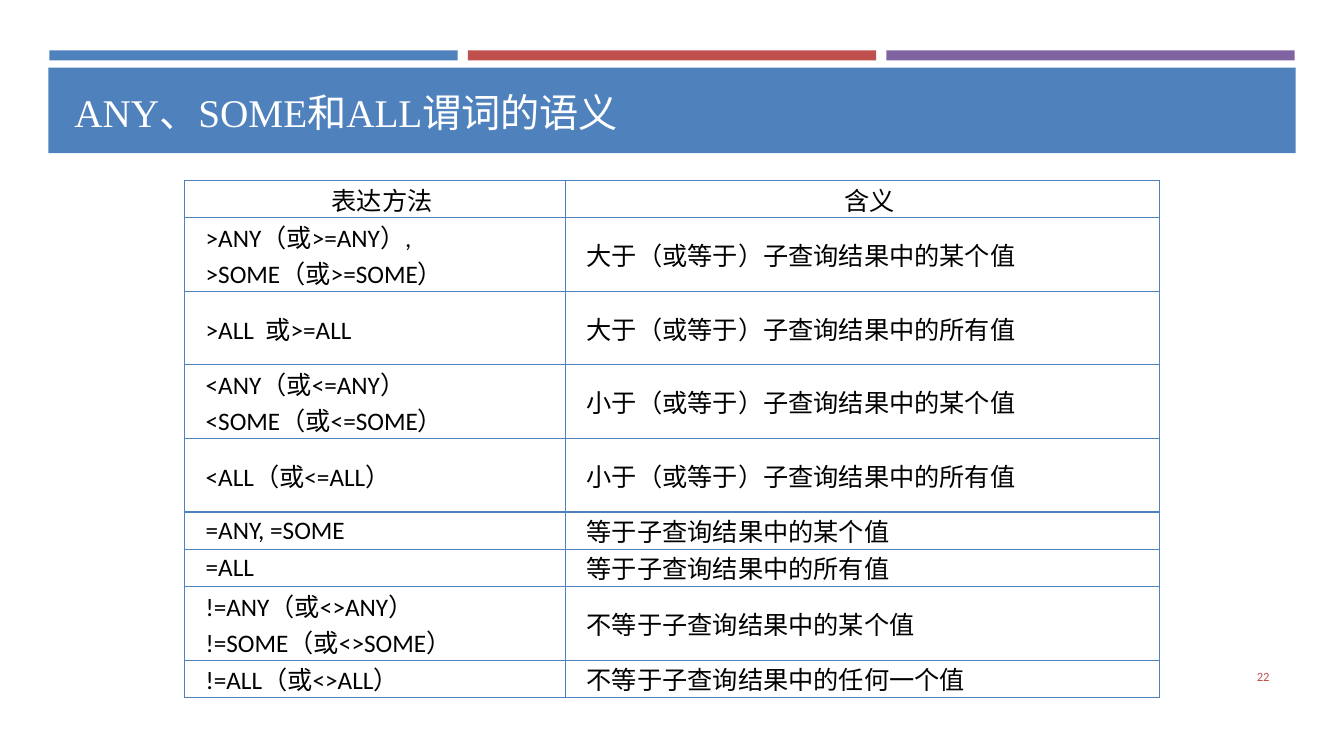
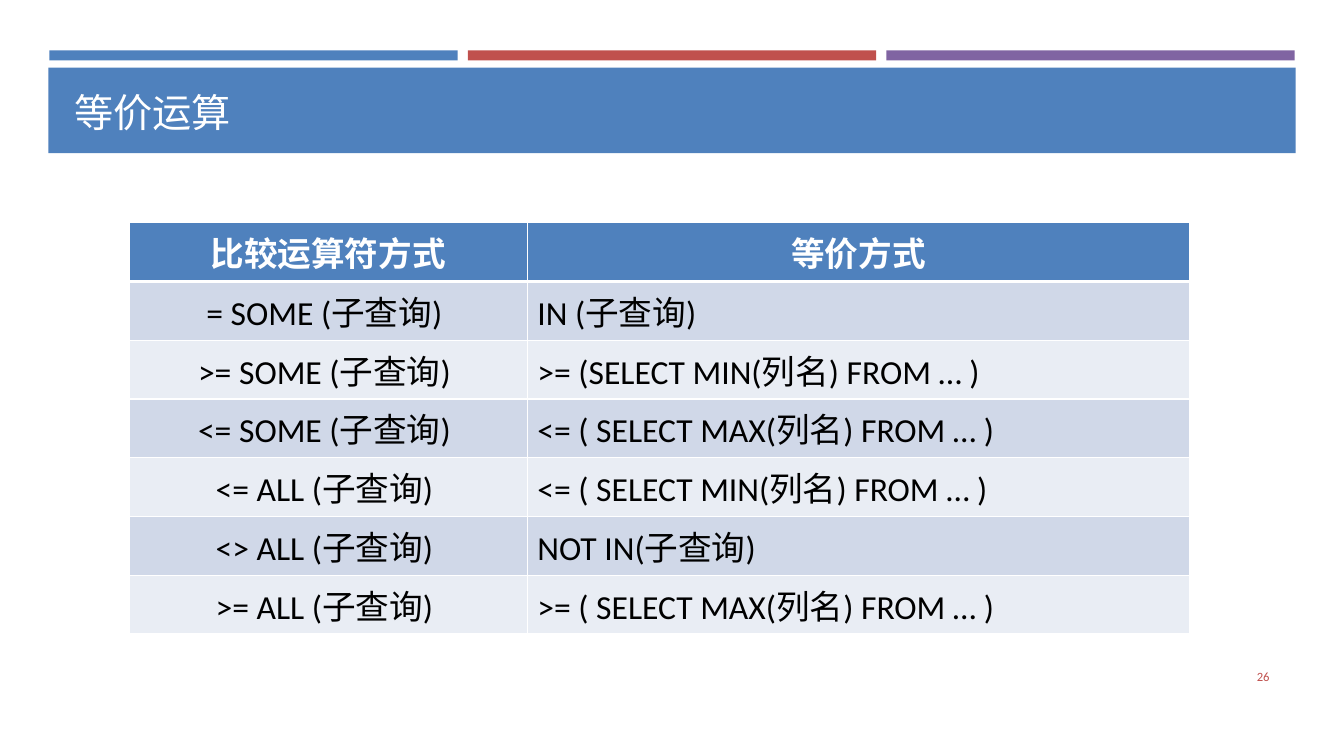
"""Build two slides on SQL predicates, each with a title band and a table."""
from lxml import etree
from pptx import Presentation
from pptx import util as u
from pptx.dml.color import RGBColor
from pptx.enum import shapes, text
from pptx.oxml.ns import qn

COLORS = {"blue": "4F81BD", "red": "C0504D", "purple": "8064A2", "white": "FFFFFF",
          "black": "000000", "band_dark": "D0D8E8", "band_light": "E9EDF4"}
STRIPES = ["blue", "red", "purple"]
LEFT, CENTER, JUSTIFY, RIGHT = (text.PP_ALIGN.LEFT, text.PP_ALIGN.CENTER,
                                text.PP_ALIGN.JUSTIFY, text.PP_ALIGN.RIGHT)

SEMANTICS = {
    "title": "ANY、SOME和ALL谓词的语义", "number": "22",
    "rows": [
        ("表达方法", "含义"),
        (">ANY（或>=ANY）, \n>SOME（或>=SOME）", "大于（或等于）子查询结果中的某个值"),
        (">ALL  或>=ALL", "大于（或等于）子查询结果中的所有值"),
        ("<ANY（或<=ANY）\n<SOME（或<=SOME）", "小于（或等于）子查询结果中的某个值"),
        ("<ALL（或<=ALL）", "小于（或等于）子查询结果中的所有值"),
        ("=ANY, =SOME", "等于子查询结果中的某个值"),
        ("=ALL", "等于子查询结果中的所有值"),
        ("!=ANY（或<>ANY）\n!=SOME（或<>SOME）", "不等于子查询结果中的某个值"),
        ("!=ALL（或<>ALL）", "不等于子查询结果中的任何一个值"),
    ],
    "at": (1.83, 1.79), "widths": (3.78, 5.89),
    "heights": (0.37, 0.73, 0.73, 0.73, 0.73, 0.37, 0.37, 0.73, 0.37),
    "size": 18, "aligns": (JUSTIFY, JUSTIFY), "margins": (0.07, 0), "indent": 0.14,
    "border": "blue", "header_line": 1, "header": ("black", False),
    "header_fill": None, "fills": (None, None),
}
EQUIVALENTS = {
    "title": "等价运算", "number": "26",
    "rows": [
        ("比较运算符方式", "等价方式"),
        ("= SOME (子查询) ", "IN (子查询)"),
        (">= SOME (子查询) ", ">= (SELECT MIN(列名) FROM … )"),
        ("<= SOME (子查询) ", "<= ( SELECT MAX(列名) FROM … )"),
        ("<= ALL (子查询) ", "<= ( SELECT MIN(列名) FROM … )"),
        ("<> ALL (子查询) ", "NOT IN(子查询) "),
        (">= ALL (子查询) ", ">= ( SELECT MAX(列名) FROM … )"),
    ],
    "at": (1.28, 2.21), "widths": (3.95, 6.57), "heights": (4.08 / 7,) * 7,
    "size": 24, "aligns": (CENTER, LEFT), "margins": (0.1, 0.05), "indent": 0,
    "border": "white", "header_line": 3, "header": ("white", True),
    "header_fill": "blue", "fills": ("band_dark", "band_light"),
}


def rgb(name):
    return RGBColor.from_string(COLORS[name])


def style_paragraph(paragraph, size, color, font="Calibri", align=LEFT, bold=False):
    paragraph.alignment = align
    for run in paragraph.runs:
        run.font.size = u.Pt(size)
        run.font.name = font
        run.font.bold = bold
        run.font.color.rgb = rgb(color)


def add_bar(slide, color, *box):
    shape = slide.shapes.add_shape(shapes.MSO_SHAPE.RECTANGLE, *map(u.Inches, box))
    shape.shadow.inherit = False
    shape.fill.solid()
    shape.fill.fore_color.rgb = rgb(color)
    shape.line.fill.background()


def add_label(slide, content, box, anchor, size, color, **style):
    frame = slide.shapes.add_textbox(*map(u.Inches, box)).text_frame
    frame.word_wrap = True
    frame.vertical_anchor = anchor
    frame.text = content
    style_paragraph(frame.paragraphs[0], size, color, **style)


def add_frame(slide, title, number):
    for index, color in enumerate(STRIPES):
        add_bar(slide, color, 0.49 + 4.15 * index, 0.5, 4.05, 0.1)
    add_bar(slide, "blue", 0.48, 0.67, 12.37, 0.85)
    add_label(slide, title, (0.64, 0.76, 12.06, 0.63), text.MSO_ANCHOR.BOTTOM,
              28, "white", font="Times New Roman")
    add_label(slide, number, (11.54, 6.51, 1.15, 0.4), text.MSO_ANCHOR.MIDDLE,
              9, "red", align=RIGHT)


def set_borders(cell, color, widths):
    properties = cell._tc.get_or_add_tcPr()
    for side, width in zip("LRTB", widths):
        line = etree.SubElement(properties, qn(f"a:ln{side}"), w=str(u.Pt(width)))
        fill = etree.SubElement(line, qn("a:solidFill"))
        etree.SubElement(fill, qn("a:srgbClr"), val=COLORS[color])


def style_cell(cell, content, row, column, design):
    is_header = row == 0
    color, bold = design["header"] if is_header else ("black", False)
    align = CENTER if is_header else design["aligns"][column]
    fill = design["header_fill"] if is_header else design["fills"][(row - 1) % 2]
    top = design["header_line"] if row == 1 else 1
    bottom = design["header_line"] if is_header else 1
    set_borders(cell, design["border"], (1, 1, top, bottom))
    if fill:
        cell.fill.solid()
        cell.fill.fore_color.rgb = rgb(fill)
    else:
        cell.fill.background()
    side, edge = map(u.Inches, design["margins"])
    cell.margin_left = cell.margin_right = side
    cell.margin_top = cell.margin_bottom = edge
    cell.vertical_anchor = text.MSO_ANCHOR.MIDDLE
    cell.text_frame.text = content
    for paragraph in cell.text_frame.paragraphs:
        style_paragraph(paragraph, design["size"], color, align=align, bold=bold)
        if design["indent"]:
            paragraph._p.get_or_add_pPr().set("indent", str(u.Inches(design["indent"])))


def add_design_table(slide, design):
    rows, widths, heights = design["rows"], design["widths"], design["heights"]
    box = (*design["at"], sum(widths), sum(heights))
    table = slide.shapes.add_table(len(rows), len(widths), *map(u.Inches, box)).table
    table.first_row = table.horz_banding = False
    for column, width in zip(table.columns, widths):
        column.width = u.Inches(width)
    for row, (contents, height) in enumerate(zip(rows, heights)):
        table.rows[row].height = u.Inches(height)
        for column, content in enumerate(contents):
            style_cell(table.cell(row, column), content, row, column, design)


presentation = Presentation()
presentation.slide_width = u.Inches(13.33)
presentation.slide_height = u.Inches(7.5)
for design in (SEMANTICS, EQUIVALENTS):
    slide = presentation.slides.add_slide(presentation.slide_layouts[6])
    add_frame(slide, design["title"], design["number"])
    add_design_table(slide, design)
presentation.save("out.pptx")
